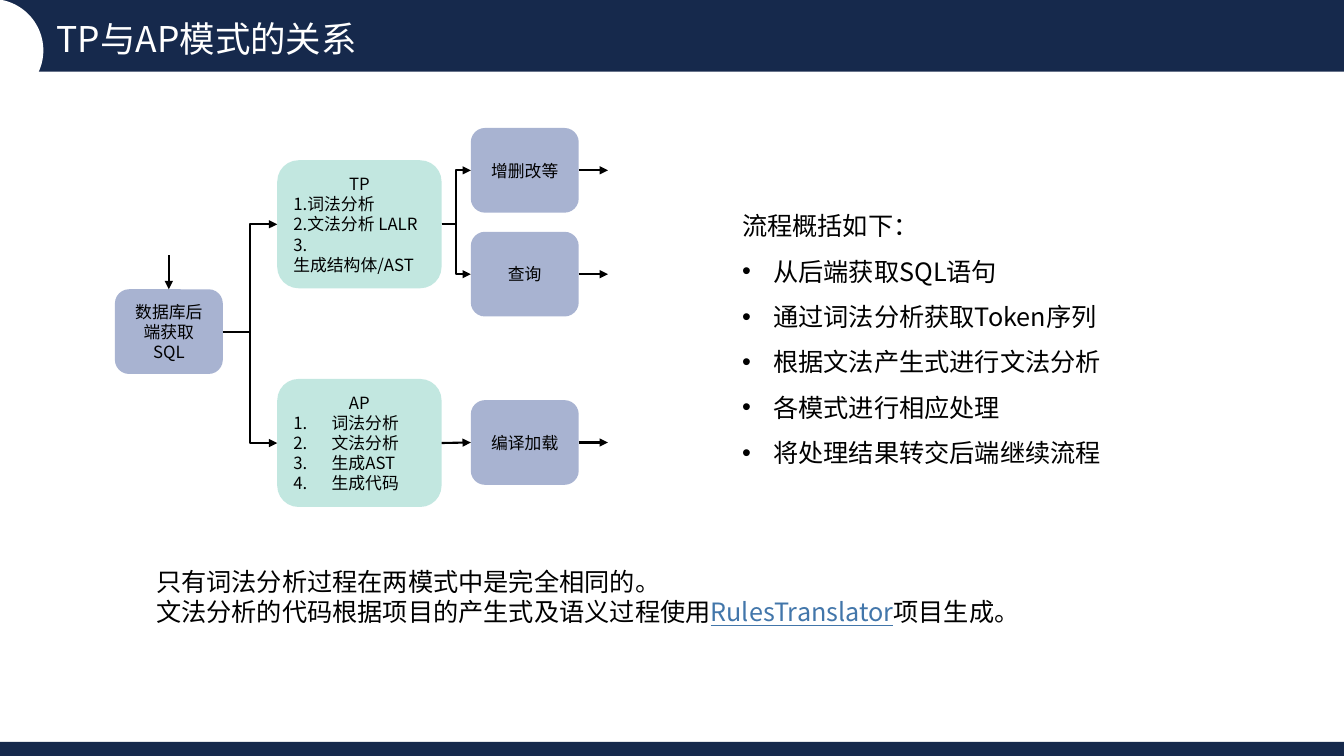
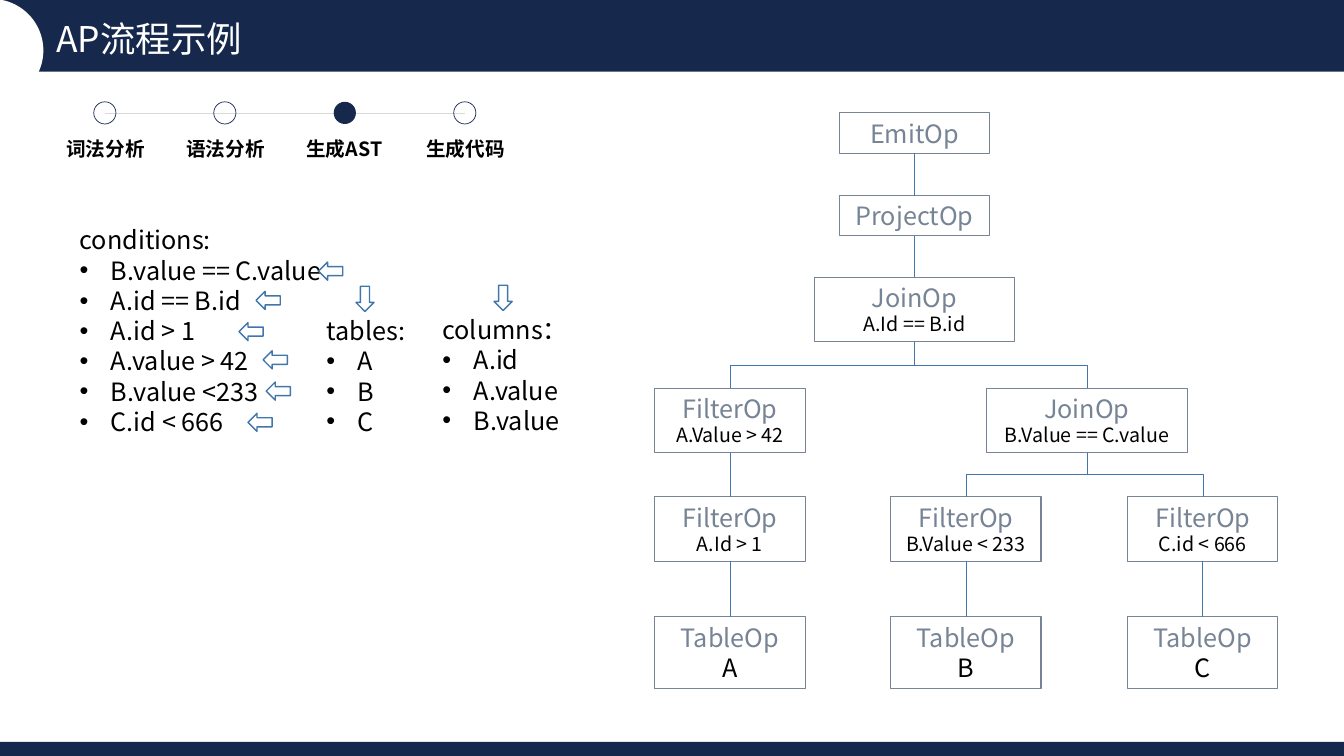
import pptx
import pptx.util
from lxml import etree
from pptx.dml.color import RGBColor
from pptx.enum.shapes import MSO_CONNECTOR, MSO_SHAPE
from pptx.enum.text import MSO_ANCHOR, MSO_AUTO_SIZE, PP_ALIGN
from pptx.oxml.ns import qn

Inches, Pt = pptx.util.Inches, pptx.util.Pt

FONT = "Noto Sans CJK SC"
NAVY = RGBColor(0x16, 0x29, 0x4C)
WHITE = RGBColor(0xFF, 0xFF, 0xFF)
BLACK = RGBColor(0, 0, 0)
BLUE = RGBColor(0x42, 0x76, 0xAA)
SLATE = RGBColor(0x77, 0x84, 0x95)
PERIWINKLE = RGBColor(0x52, 0x68, 0xA5)
MINT = RGBColor(0x86, 0xD0, 0xC2)
LIGHT_GREY = RGBColor(0xD9, 0xD9, 0xD9)

WIDTH, HEIGHT = 13.33, 7.5
BULLET, NUMBER = "bullet", "number"
TOP, LEFT, BOTTOM, RIGHT = range(4)  # connection sites of a rectangle

# Slide 1
MODES_TITLE = "TP与AP模式的关系"
SUMMARY = ["流程概括如下：", "从后端获取SQL语句", "通过词法分析获取Token序列",
           "根据文法产生式进行文法分析", "各模式进行相应处理", "将处理结果转交后端继续流程"]
REMARKS = [
    ["只有词法分析过程在两模式中是完全相同的。"],
    ["文法分析的代码根据项目的产生式及语义过程使用",
     ("RulesTranslator", {"color": BLUE, "underline": True}), "项目生成。"],
]
STEP_SIZE, MODE_SIZE = (1.07, 0.84), (1.63, 1.27)
STEPS = {  # name: (text, left, top)
    "source": ("数据库后端获取SQL", 1.14, 2.87),
    "update": ("增删改等", 4.67, 1.27),
    "query": ("查询", 4.67, 2.3),
    "load": ("编译加载", 4.67, 3.97),
}
MODES = {  # name: (heading, lines, marker, top)
    "tp": ("TP", ["1.词法分析", "2.文法分析 LALR", "3. 生成结构体/AST"], None, 1.59),
    "ap": ("AP", ["词法分析", "文法分析", "生成AST", "生成代码"], NUMBER, 3.76),
}
FLOWS = [("source", "tp"), ("source", "ap"), ("tp", "update"), ("tp", "query"), ("ap", "load")]
OUTPUTS = ["update", "query", "load"]

# Slide 2
EXAMPLE_TITLE = "AP流程示例"
PHASES = ["词法分析", "语法分析", "生成AST", "生成代码"]
CURRENT_PHASE = "生成AST"
CONDITIONS = ["conditions:", "B.value == C.value", "A.id == B.id", "A.id > 1",
              "A.value > 42", "B.value <233", "C.id < 666"]
LISTS = [  # lines, left, top, width
    (["columns：", "A.id", "A.value", "B.value"], 4.29, 3.07, 1.75),
    (["tables:", "A", "B", "C"], 3.14, 3.08, 1.17),
]
LEFT_ARROWS = [(3.16, 2.6), (2.54, 2.89), (2.37, 3.2), (2.61, 3.48), (2.64, 3.79), (2.46, 4.1)]
DOWN_ARROWS = [(3.53, 2.84), (4.9, 2.83)]
TREE_ROWS = [1.12, 1.94, 2.75, 3.85, 4.93, 6.12]
TREE = {  # name: (operator, detail, centre, row, parent)
    "emit": ("EmitOp", "", 9.07, 0, None),
    "project": ("ProjectOp", "", 9.07, 1, "emit"),
    "join": ("JoinOp", "A.Id == B.id", 9.07, 2, "project"),
    "filter value": ("FilterOp", "A.Value > 42", 7.24, 3, "join"),
    "join bc": ("JoinOp", "B.Value == C.value", 10.78, 3, "join"),
    "filter a": ("FilterOp", "A.Id > 1", 7.24, 4, "filter value"),
    "filter b": ("FilterOp", "B.Value < 233", 9.58, 4, "join bc"),
    "filter c": ("FilterOp", "C.id < 666", 11.93, 4, "join bc"),
    "table a": ("TableOp", "A", 7.24, 5, "filter a"),
    "table b": ("TableOp", "B", 9.58, 5, "filter b"),
    "table c": ("TableOp", "C", 11.93, 5, "filter c"),
}


def add_span(para, text, size, color=BLACK, bold=False, underline=False):
    span = para.add_run()
    span.text = text
    font = span.font
    font.name, font.size, font.bold, font.underline = FONT, Pt(size), bold, underline
    font.color.rgb = color
    etree.SubElement(span._r.get_or_add_rPr(), qn("a:ea"), typeface=FONT)


def mark(para, marker):
    """Give the paragraph a bullet, an automatic number or neither."""
    props = para._p.get_or_add_pPr()
    hang = Inches({BULLET: 0.31, NUMBER: 0.38}.get(marker, 0))
    props.set("marL", str(hang))
    props.set("indent", str(-hang))
    if marker == BULLET:
        etree.SubElement(props, qn("a:buFont"), typeface="Arial")
        etree.SubElement(props, qn("a:buChar"), char="•")
    elif marker == NUMBER:
        etree.SubElement(props, qn("a:buAutoNum"), type="arabicPeriod")
    else:
        etree.SubElement(props, qn("a:buNone"))


def write(frame, paras, size=18, spacing=1.0, align=PP_ALIGN.LEFT, anchor=MSO_ANCHOR.TOP):
    """Fill the frame; each para is (runs, marker, alignment or None)."""
    frame.word_wrap = True
    frame.auto_size = MSO_AUTO_SIZE.NONE
    frame.vertical_anchor = anchor
    for index, (runs, marker, own_align) in enumerate(paras):
        para = frame.add_paragraph() if index else frame.paragraphs[0]
        para.alignment = own_align or align
        para.line_spacing = spacing
        para.space_before = Pt(0)
        mark(para, marker)
        for run in runs:
            text, style = (run, {}) if isinstance(run, str) else run
            add_span(para, text, **{"size": size, **style})


def headed_list(lines, marker=BULLET, heading_align=None):
    heading, *items = lines
    return [([heading], None, heading_align)] + [([item], marker, None) for item in items]


def place(shape, left, top, width, height):
    shape.left, shape.top = Inches(left), Inches(top)
    shape.width, shape.height = Inches(width), Inches(height)


def add_box(page, left, top, width, height):
    return page.shapes.add_textbox(*map(Inches, (left, top, width, height))).text_frame


def add_shape(page, kind, box, fill=None, line=None, weight=1, opacity=None):
    shape = page.shapes.add_shape(kind, *map(Inches, box))
    shape.shadow.inherit = False
    if fill is None:
        shape.fill.background()
    else:
        shape.fill.solid()
        shape.fill.fore_color.rgb = fill
    if opacity:
        color = shape.element.spPr.find(".//" + qn("a:srgbClr"))
        etree.SubElement(color, qn("a:alpha"), val=str(opacity * 1000))
    if line is None:
        shape.line.fill.background()
    else:
        shape.line.color.rgb = line
        shape.line.width = Pt(weight)
    return shape


def add_line(page, start, end, color, weight, kind=MSO_CONNECTOR.STRAIGHT, arrow=False):
    line = page.shapes.add_connector(kind, *map(Inches, (*start, *end)))
    line.line.color.rgb = color
    line.line.width = Pt(weight)
    etree.SubElement(line.element.spPr, qn("a:effectLst"))
    if arrow:
        outline = line.element.spPr.find(qn("a:ln"))
        etree.SubElement(outline, qn("a:tailEnd"), type="triangle")
    return line


def link(page, first, second, sites, aligned, *style, arrow=False):
    """Glue a connector between two shapes, straight if they are aligned."""
    kind = MSO_CONNECTOR.STRAIGHT if aligned else MSO_CONNECTOR.ELBOW
    line = add_line(page, (0, 0), (1, 1), *style, kind=kind, arrow=arrow)
    line.begin_connect(first, sites[0])
    line.end_connect(second, sites[1])
    return line


def stand_up(line):
    """Turn an elbow so that it leaves downwards instead of sideways."""
    to_left = line.end_x < line.begin_x
    middle_x, middle_y = line.left + line.width // 2, line.top + line.height // 2
    width, height = line.height, line.width
    line.left, line.top = middle_x - width // 2, middle_y - height // 2
    line.width, line.height = width, height
    frame = line.element.spPr.find(qn("a:xfrm"))
    frame.set("rot", str((90 if to_left else 270) * 60000))
    frame.set("flipH", "0" if to_left else "1")


def decorate(layout, page):
    """Move the bands and the corner disc, drawn on a page, to its layout."""
    parts = [(MSO_SHAPE.RECTANGLE, (0, 0, WIDTH, 0.71), NAVY),
             (MSO_SHAPE.OVAL, (-0.59, -0.01, 1.02, 1.02), WHITE),
             (MSO_SHAPE.RECTANGLE, (0, 7.36, WIDTH, HEIGHT - 7.36), NAVY)]
    for index, (kind, box, fill) in enumerate(parts):
        layout.shapes.element.insert(2 + index, add_shape(page, kind, box, fill).element)


def add_page(deck, layout, title):
    page = deck.slides.add_slide(layout)
    heading = page.shapes.title
    place(heading, 0.56, 0.12, 4.51, 0.46)
    frame = heading.text_frame
    frame.margin_left = frame.margin_right = frame.margin_top = frame.margin_bottom = 0
    write(frame, [([(title, {"color": WHITE})], None, None)], 25.3, 1.16,
          anchor=MSO_ANCHOR.MIDDLE)
    return page


def fill_body(page, box, lines, spacing=1.0):
    body = page.placeholders[1]
    place(body, *box)
    write(body.text_frame, headed_list(lines), spacing=spacing)


def draw_modes(page):
    fill_body(page, (7.26, 1.89, 5.49, 2.78), SUMMARY, 1.5)
    write(add_box(page, 1.45, 5.57, 9.64, 0.71), [(runs, None, None) for runs in REMARKS])
    nodes = {}
    for name, (text, left, top) in STEPS.items():
        nodes[name] = add_shape(page, MSO_SHAPE.ROUNDED_RECTANGLE, (left, top, *STEP_SIZE),
                                PERIWINKLE, opacity=50)
        write(nodes[name].text_frame, [([text], None, None)], 12,
              align=PP_ALIGN.CENTER, anchor=MSO_ANCHOR.MIDDLE)
    for name, (heading, lines, marker, top) in MODES.items():
        nodes[name] = add_shape(page, MSO_SHAPE.ROUNDED_RECTANGLE, (2.75, top, *MODE_SIZE),
                                MINT, opacity=50)
        write(nodes[name].text_frame, headed_list([heading, *lines], marker, PP_ALIGN.CENTER),
              12, anchor=MSO_ANCHOR.MIDDLE)
    for first, second in FLOWS:
        link(page, nodes[first], nodes[second], (RIGHT, LEFT), second == "load",
             BLACK, 1.5, arrow=True)
    _, left, top = STEPS["source"]
    middle = left + STEP_SIZE[0] / 2
    add_line(page, (middle, top - 0.34), (middle, top), BLACK, 1.5, arrow=True)
    for name in OUTPUTS:
        _, left, top = STEPS[name]
        right, middle = left + STEP_SIZE[0], top + STEP_SIZE[1] / 2
        add_line(page, (right, middle), (right + 0.29, middle), BLACK, 1.5, arrow=True)


def draw_phases(page):
    first, step, middle, size = 1.04, 1.19, 1.12, 0.22
    last = first + step * (len(PHASES) - 1)
    add_line(page, (first, middle), (last, middle), LIGHT_GREY, 0.25)
    for index, phase in enumerate(PHASES):
        center = first + step * index
        fill, line = (NAVY, None) if phase == CURRENT_PHASE else (None, NAVY)
        add_shape(page, MSO_SHAPE.OVAL, (center - size / 2, middle - size / 2, size, size),
                  fill, line, 0.5)
        write(add_box(page, center - 0.48, 1.28, 1.1, 0.4),
              [([(phase, {"bold": True})], None, None)], 14, anchor=MSO_ANCHOR.MIDDLE)


def draw_tree(page):
    nodes = {}
    for name, (operator, detail, center, row, parent) in TREE.items():
        width = 1.99 if operator == "JoinOp" else 1.49
        height = 0.71 if operator == "TableOp" else 0.64 if detail else 0.4
        node = add_shape(page, MSO_SHAPE.RECTANGLE,
                         (center - width / 2, TREE_ROWS[row], width, height), None, SLATE, 0.75)
        paras = [([(operator, {"color": SLATE})], None, None)]
        if detail:
            size = 18 if operator == "TableOp" else 14
            paras.append(([(detail, {"size": size})], None, None))
        write(node.text_frame, paras, align=PP_ALIGN.CENTER)
        nodes[name] = node
        if parent:
            aligned = center == TREE[parent][2]
            line = link(page, nodes[parent], node, (BOTTOM, TOP), aligned, BLUE, 0.5)
            if not aligned:
                stand_up(line)


def draw_example(page):
    fill_body(page, (0.69, 2.18, 3.85, 2.22), CONDITIONS)
    for lines, left, top, width in LISTS:
        write(add_box(page, left, top, width, 1.31), headed_list(lines))
    for kind, spots, size in [(MSO_SHAPE.LEFT_ARROW, LEFT_ARROWS, (0.24, 0.18)),
                              (MSO_SHAPE.DOWN_ARROW, DOWN_ARROWS, (0.18, 0.25))]:
        for spot in spots:
            add_shape(page, kind, (*spot, *size), None, BLUE)
    draw_phases(page)
    draw_tree(page)


def main():
    deck = pptx.Presentation()
    deck.slide_width, deck.slide_height = Inches(WIDTH), Inches(HEIGHT)
    layout = deck.slide_layouts[1]
    modes = add_page(deck, layout, MODES_TITLE)
    decorate(layout, modes)
    draw_modes(modes)
    draw_example(add_page(deck, layout, EXAMPLE_TITLE))
    deck.save("out.pptx")


if __name__ == "__main__":
    main()
